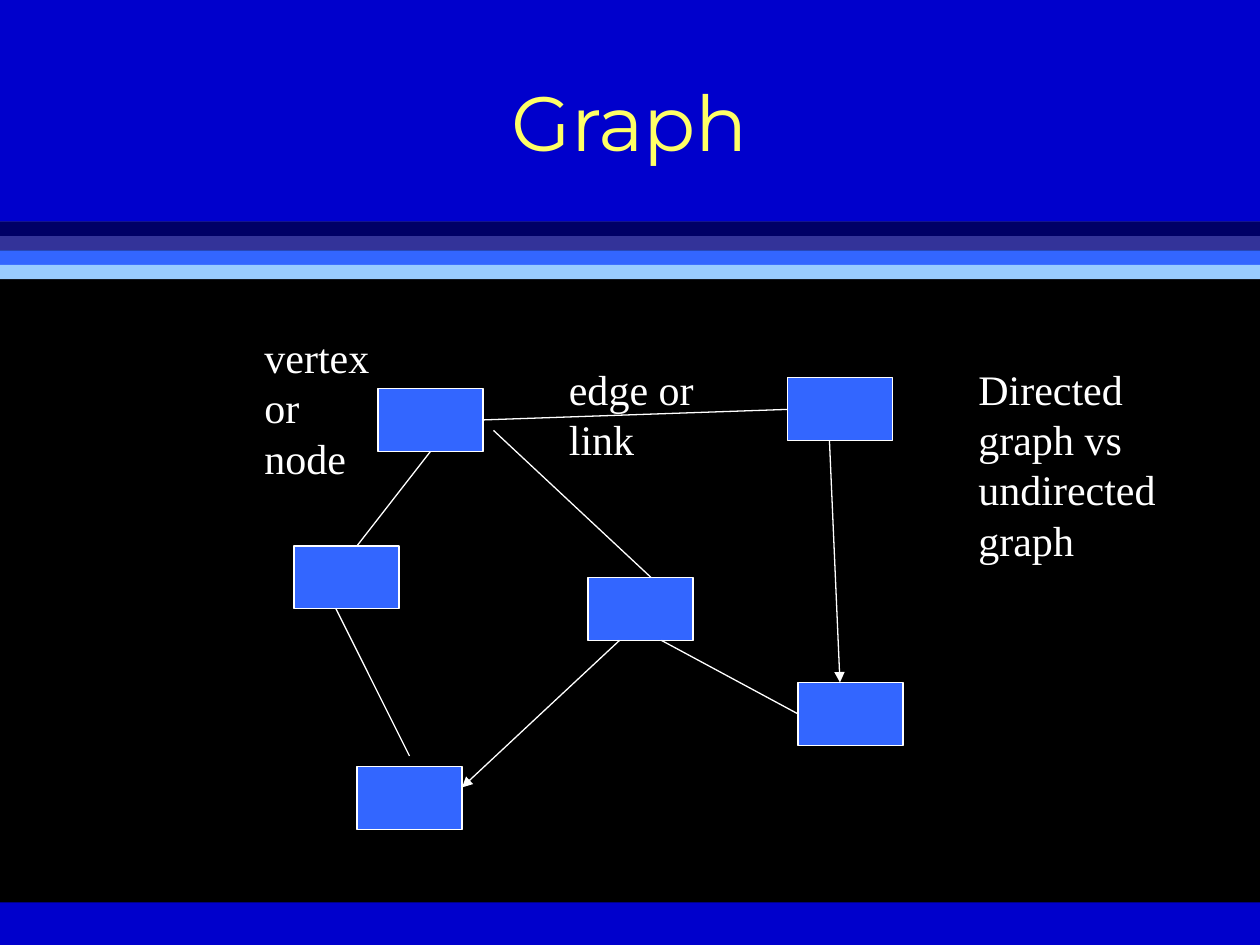
import pptx
import pptx.dml.color
import pptx.enum.shapes
import pptx.enum.text
import pptx.oxml.ns
import pptx.util
from lxml import etree
from pptx.util import Cm, Pt

COLORS = {
    "background": "969696",
    "body": "000000",
    "band": "0000CC",
    "stripes": ["000066", "333399", "3366FF", "99CCFF"],
    "title": "FFFF66",
    "node": "3366FF",
    "white": "FFFFFF",
}
WIDTH, HEIGHT = 25.4, 19.05
GRID = 2.54 / 12
NODE_SIZE = (10, 6)
NODES = [(4, 21), (51, 5), (52, 34), (12, 6), (10, 42), (32, 24)]
EDGES = [
    ((8, 27), (15, 41), False),
    ((17, 12), (10, 21), False),
    ((23, 10), (38, 24), False),
    ((39, 30), (52, 37), False),
    ((35, 30), (20, 44), True),
    ((55, 11), (56, 34), True),
    ((22, 9), (51, 8), False),
]
LABELS = [
    ("Directed graph vs undirected graph", 68, 3, 22, 20.4),
    ("edge or link", 29, 3, 21, 10.8),
    ("vertex or node", 0, 0, 14, 15.6),
]


def rgb(value):
    """Return the colour object for a hex string."""
    return pptx.dml.color.RGBColor.from_string(value)


def add_rectangle(slide, left, top, width, height, fill, line=None):
    """Add a flat rectangle, measured in centimetres, with an optional outline."""
    shape = slide.shapes.add_shape(
        pptx.enum.shapes.MSO_SHAPE.RECTANGLE, Cm(left), Cm(top), Cm(width), Cm(height)
    )
    shape.shadow.inherit = False
    shape.fill.solid()
    shape.fill.fore_color.rgb = rgb(fill)
    if line:
        shape.line.color.rgb = rgb(line)
        shape.line.width = Pt(0.75)
    else:
        shape.line.fill.background()


def add_text(slide, text, left, top, width, height, font, size, color):
    """Add a wrapping text box and return its text frame."""
    box = slide.shapes.add_textbox(Cm(left), Cm(top), Cm(width), Cm(height))
    frame = box.text_frame
    frame.word_wrap = True
    paragraph = frame.paragraphs[0]
    paragraph.text = text
    paragraph.font.name = font
    paragraph.font.size = Pt(size)
    paragraph.font.color.rgb = rgb(color)
    return frame


def add_edge(slide, start, end, directed):
    """Add a thin white edge, with an arrowhead when directed."""
    connector = slide.shapes.add_connector(
        pptx.enum.shapes.MSO_CONNECTOR.STRAIGHT,
        *(Cm(value) for value in (*start, *end)),
    )
    connector.line.color.rgb = rgb(COLORS["white"])
    connector.line.width = Pt(0.75)
    qn = pptx.oxml.ns.qn
    if directed:
        etree.SubElement(connector.line._get_or_add_ln(), qn("a:tailEnd"), type="triangle")
    etree.SubElement(connector._element.spPr, qn("a:effectLst"))


def add_backdrop(slide, left, top, width, height):
    """Fill the box with the header band, stripes, body and footer band."""
    header, stripe, footer = 4.47, 0.29, 0.86
    add_rectangle(slide, left, top + header, width, height - header, COLORS["body"])
    add_rectangle(slide, left, top + height - footer, width, footer, COLORS["band"])
    add_rectangle(slide, left, top, width, header, COLORS["band"])
    for index, color in enumerate(COLORS["stripes"]):
        add_rectangle(slide, left, top + header + index * stripe, width, stripe, color)


def add_title(slide, left, top, width, height):
    """Centre the slide title in the box."""
    frame = add_text(
        slide, "Graph", left, top, width, height, "Montserrat", 44, COLORS["title"]
    )
    frame.vertical_anchor = pptx.enum.text.MSO_ANCHOR.MIDDLE
    frame.paragraphs[0].alignment = pptx.enum.text.PP_ALIGN.CENTER


def add_graph(slide, left, top):
    """Draw the nodes, edges and labels on a grid from the given corner."""

    def place(column, row):
        """Return the position of a grid point."""
        return left + column * GRID, top + row * GRID

    for node in NODES:
        size = [side * GRID for side in NODE_SIZE]
        add_rectangle(slide, *place(*node), *size, COLORS["node"], COLORS["white"])
    for start, end, directed in EDGES:
        add_edge(slide, place(*start), place(*end), directed)
    for text, column, row, columns, rows in LABELS:
        frame = add_text(
            slide, text, *place(column, row), columns * GRID, rows * GRID,
            "Times New Roman", 24, COLORS["white"],
        )
        frame.paragraphs[0].line_spacing = Pt(28.8)


def main():
    """Build and save the presentation."""
    presentation = pptx.Presentation()
    presentation.slide_width, presentation.slide_height = Cm(WIDTH), Cm(HEIGHT)
    slide = presentation.slides.add_slide(presentation.slide_layouts[6])
    slide.background.fill.solid()
    slide.background.fill.fore_color.rgb = rgb(COLORS["background"])
    add_backdrop(slide, 0, 0, WIDTH, HEIGHT)
    add_title(slide, 1.9, 0.85, 21.6, 3.18)
    add_graph(slide, 5.08, 6.56)
    presentation.save("out.pptx")


if __name__ == "__main__":
    main()
